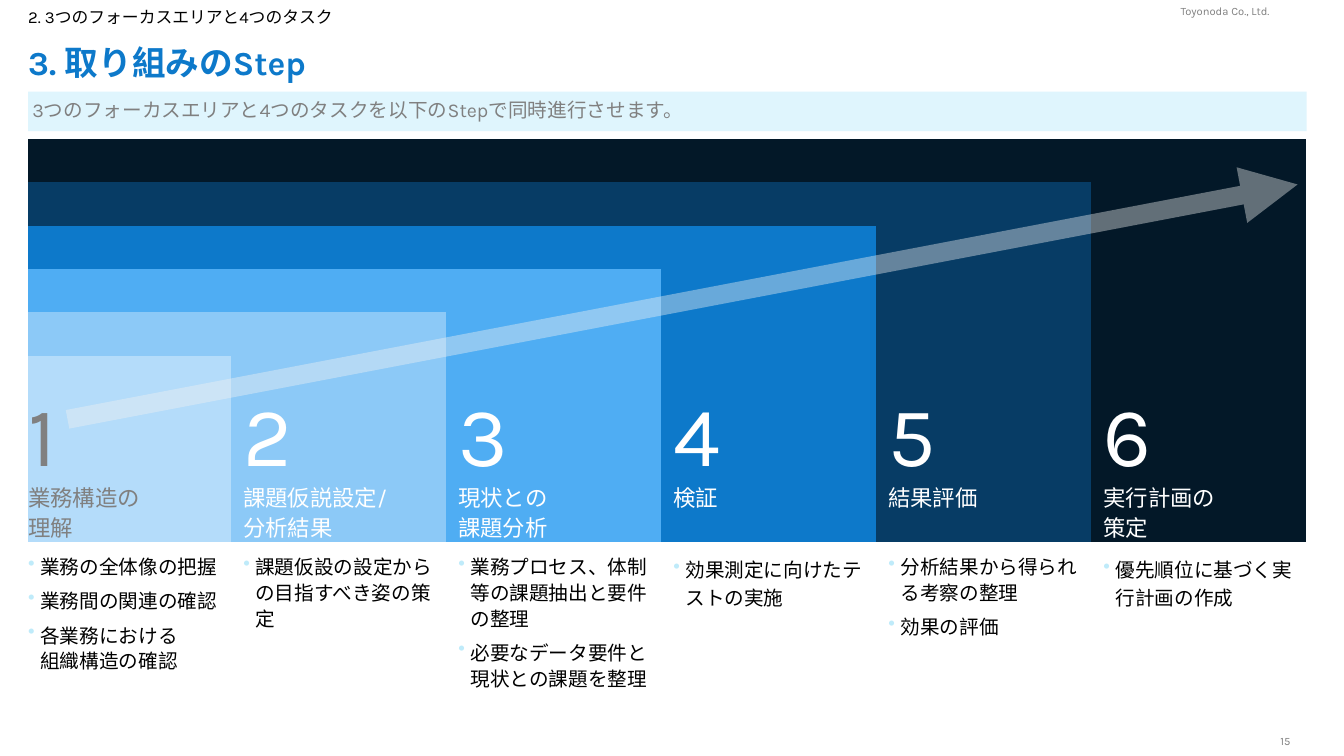
from lxml.etree import SubElement
from pptx import Presentation
from pptx.dml.color import RGBColor
from pptx.enum.shapes import MSO_CONNECTOR
from pptx.enum.text import MSO_ANCHOR, MSO_AUTO_SIZE, PP_ALIGN
from pptx.oxml.ns import qn
from pptx.util import Inches, Pt

FONT = "Karla"
GRAY, WHITE, BLACK, BLUE = "808080", "FFFFFF", "000000", "0D79CA"
STEP_FILLS = ["B4DCFA", "8CC9F7", "4FADF3", BLUE, "073C65", "031828"]
NO_STYLE = "{2D5ABB26-0587-4C30-8999-92F81FD0307C}"
GAP = 0.12
ROW_HEIGHTS = [0.43] * 5 + [1.27, 0.58, GAP, 1.35]
NUMBER_ROW, NAME_ROW, TASK_ROW = 5, 6, 8

STEPS = [
    ("業務構造の\v理解", "業務の全体像の把握\n業務間の関連の確認\n各業務における\v組織構造の確認",
     {"after": 6}),
    ("課題仮説設定/\n分析結果", "課題仮設の設定からの目指すべき姿の策定", {}),
    ("現状との\v課題分析", "業務プロセス、体制等の課題抽出と要件の整理\n必要なデータ要件と現状との課題を整理",
     {"after": 6}),
    ("検証", "効果測定に向けたテストの実施", {"spacing": 1.0}),
    ("結果評価", "分析結果から得られる考察の整理\n効果の評価", {"after": 6}),
    ("実行計画の\v策定", "優先順位に基づく実行計画の作成", {"spacing": 1.0}),
]


def rgb(value):
    return RGBColor.from_string(value)


def set_bullet(paragraph, color):
    properties = paragraph._p.get_or_add_pPr()
    indent = Inches(GAP) if color else 0
    properties.set("marL", str(indent))
    properties.set("indent", str(-indent))
    if color:
        bullet_color = SubElement(properties, qn("a:buClr"))
        SubElement(bullet_color, qn("a:srgbClr"), val=color)
        SubElement(properties, qn("a:buChar"), char="•")
    else:
        SubElement(properties, qn("a:buNone"))


def write(frame, text, size, color, bold=False, align=PP_ALIGN.LEFT,
          spacing=0.9, after=0, bullet=None):
    for index, line in enumerate(text.split("\n")):
        paragraph = frame.add_paragraph() if index else frame.paragraphs[0]
        paragraph.alignment = align
        paragraph.line_spacing = spacing
        paragraph.space_before = Pt(0)
        paragraph.space_after = Pt(after)
        set_bullet(paragraph, bullet)
        for part, words in enumerate(line.split("\v")):
            if part:
                paragraph.add_line_break()
            run = paragraph.add_run()
            run.text = words
            run.font.name = FONT
            run.font.size = Pt(size)
            run.font.bold = bold
            run.font.color.rgb = rgb(color)


def set_margins(target, side, upright):
    target.margin_left = target.margin_right = Inches(side)
    target.margin_top = target.margin_bottom = Inches(upright)


def fill_placeholder(holder, box, text, margin=0, **style):
    holder.left, holder.top, holder.width, holder.height = map(Inches, box)
    frame = holder.text_frame
    frame.word_wrap = True
    frame.auto_size = MSO_AUTO_SIZE.NONE
    frame.vertical_anchor = MSO_ANCHOR.MIDDLE
    set_margins(frame, margin, 0.05)
    write(frame, text, **style)


def add_label(slide, box, text, wrap, **style):
    frame = slide.shapes.add_textbox(*map(Inches, box)).text_frame
    frame.word_wrap = wrap
    set_margins(frame, 0, 0)
    write(frame, text, size=8, color=GRAY, spacing=1.0, **style)


def add_heading(slide, left, top, width):
    title, section, message = slide.placeholders
    fill_placeholder(section, (left, top, 6.38, 0.28),
                     "2. 3つのフォーカスエリアと4つのタスク", size=12, color=BLACK)
    fill_placeholder(title, (left, top + 0.31, width, 0.59),
                     "3. 取り組みのStep", size=24, color=BLUE, bold=True)
    fill_placeholder(message, (left, top + 0.87, width, 0.39),
                     "3つのフォーカスエリアと4つのタスクを以下のStepで同時進行させます。",
                     margin=0.04, size=14, color=GRAY)
    message.fill.solid()
    message.fill.fore_color.rgb = rgb("DFF5FD")


def add_steps(slide, left, top, width):
    columns = 2 * len(STEPS) - 1
    step_width = (width - GAP * (len(STEPS) - 1)) / len(STEPS)
    frame = slide.shapes.add_table(len(ROW_HEIGHTS), columns, Inches(left), Inches(top),
                                   Inches(width), Inches(sum(ROW_HEIGHTS)))
    table = frame.table
    table.first_row = table.horz_banding = False
    table._tbl.tblPr.find(qn("a:tableStyleId")).text = NO_STYLE
    for index, column in enumerate(table.columns):
        column.width = Inches(GAP if index % 2 else step_width)
    for index, height in enumerate(ROW_HEIGHTS):
        table.rows[index].height = Inches(height)
        for column in range(columns):
            cell = table.cell(index, column)
            set_margins(cell, 0, 0)
            step = (column + 1) // 2
            if index <= NAME_ROW:
                cell.fill.solid()
                cell.fill.fore_color.rgb = rgb(STEP_FILLS[max(step, 5 - index)])
            else:
                cell.fill.background()
            if column % 2 or index not in (NUMBER_ROW, NAME_ROW, TASK_ROW):
                SubElement(cell.text_frame.paragraphs[0]._p, qn("a:endParaRPr"), sz="100")
    for step, (name, tasks, task_format) in enumerate(STEPS):
        number_cell, name_cell, task_cell = (
            table.cell(row, 2 * step) for row in (NUMBER_ROW, NAME_ROW, TASK_ROW))
        color = WHITE if step else GRAY
        number_cell.vertical_anchor = MSO_ANCHOR.BOTTOM
        write(number_cell.text_frame, str(step + 1), 60, color)
        write(name_cell.text_frame, name, 16, color)
        write(task_cell.text_frame, tasks, 14, BLACK, bullet="BFEBFA", **task_format)


def add_progress_arrow(slide, left, top, width, height):
    arrow = slide.shapes.add_connector(
        MSO_CONNECTOR.STRAIGHT, Inches(left), Inches(top + height),
        Inches(left + width), Inches(top))
    arrow.line.width = Pt(13.5)
    arrow.line.color.rgb = rgb("F2F2F2")
    line = arrow.line._get_or_add_ln()
    SubElement(line.find(".//" + qn("a:srgbClr")), qn("a:alpha"), val="40000")
    SubElement(line, qn("a:tailEnd"), type="triangle")
    SubElement(arrow._element.spPr, qn("a:effectLst"))


def add_margin_labels(slide, right):
    add_label(slide, (right - 1.25, 0.04, 0.93, 0.13), "Toyonoda Co., Ltd.", False)
    add_label(slide, (right - 0.43, 7.29, 0.44, 0.13), "15", True, align=PP_ALIGN.CENTER)


deck = Presentation()
deck.slide_width, deck.slide_height = Inches(13.33), Inches(7.5)
steps_slide = deck.slides.add_slide(deck.slide_layouts[3])
add_margin_labels(steps_slide, 12.96)
add_heading(steps_slide, 0.28, 0.04, 12.68)
add_steps(steps_slide, 0.28, 1.38, 12.68)
add_progress_arrow(steps_slide, 0.67, 1.83, 12.2, 2.33)
deck.save("out.pptx")
